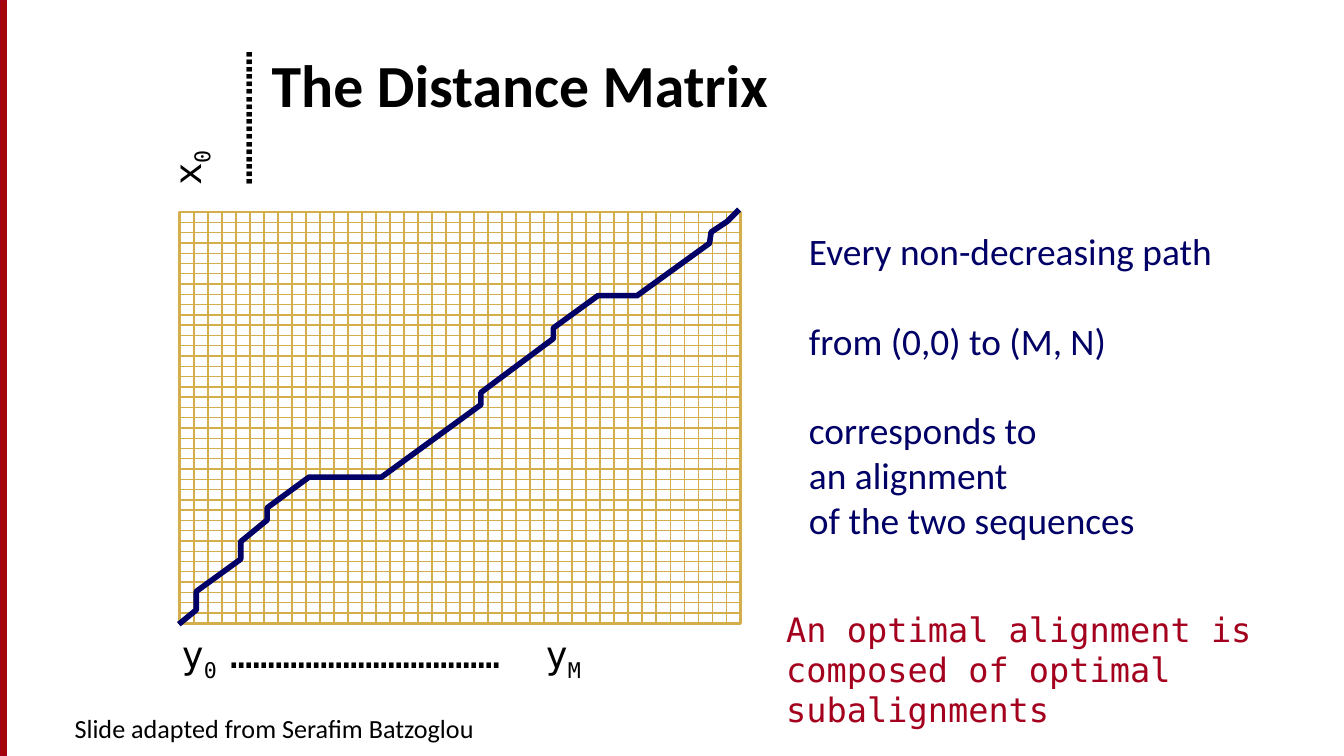
import dataclasses
import typing

import pptx
import pptx.dml.color
import pptx.enum.shapes
import pptx.enum.text
import pptx.oxml
import pptx.oxml.ns
import pptx.util

Cm = pptx.util.Cm
Pt = pptx.util.Pt
ALIGN = pptx.enum.text.PP_ALIGN
SHAPE = pptx.enum.shapes.MSO_SHAPE

HEX = {"ink": "000000", "navy": "000066", "red": "A4001D",
       "bar": "A40508", "gold": "D5AE4C"}
SANS, MONO = "Calibri", "DejaVu Sans Mono"


@dataclasses.dataclass
class Run:
    text: str
    sub: bool = False


@dataclasses.dataclass
class Line:
    runs: list[Run]
    after: float = 0


@dataclasses.dataclass
class Note:
    """A text box, placed in centimetres."""
    left: float
    top: float
    width: float
    height: float
    lines: list[Line]
    size: float
    font: str = SANS
    color: str = "ink"
    align: typing.Any = ALIGN.LEFT
    turn: float = 0
    wrap: bool = True


@dataclasses.dataclass
class Grid:
    left: float
    top: float
    width: float
    height: float
    rows: int
    cols: int


GRID = Grid(3.4, 4.01, 10.59, 7.77, 40, 40)
PATH = [(3.38, 11.8), (3.71, 11.53), (3.71, 11.18), (4.55, 10.57),
        (4.55, 10.24), (5.05, 9.83), (5.05, 9.6), (5.84, 9.02),
        (7.21, 9.02), (9.09, 7.65), (9.09, 7.42), (10.46, 6.4),
        (10.46, 6.2), (11.3, 5.59), (12.04, 5.59), (13.16, 4.78),
        (13.41, 4.6), (13.44, 4.39), (13.74, 4.19), (13.97, 3.96)]
NOTES = [
    Note(0.64, 13.34, 9.09, 0.95,
         [Line([Run("Slide adapted from Serafim Batzoglou")])],
         14, align=ALIGN.CENTER),
    Note(3.18, 11.81, 11.02, 1.12,
         [Line([Run("y"), Run("0 ", True), Run("…" * 12 + "  y"),
                Run("M", True)])],
         20, MONO, wrap=False),
    Note(1.65, 1.32, 3.76, 1.12,
         [Line([Run("x"), Run("0 ", True), Run("…" * 6)])],
         20, MONO, turn=270, wrap=False),
    Note(15.04, 4.19, 9.32, 7.26,
         [Line([Run("Every non-decreasing path")], 24),
          Line([Run("from (0,0) to (M, N)")], 24),
          Line([Run("corresponds to")]),
          Line([Run("an alignment")]),
          Line([Run("of the two sequences")])],
         20, color="navy"),
    Note(14.61, 11.38, 10.57, 1.8,
         [Line([Run("An optimal alignment is composed of optimal "
                    "subalignments")])],
         18, MONO, "red"),
]


def tint(name: str) -> pptx.dml.color.RGBColor:
    return pptx.dml.color.RGBColor.from_string(HEX[name])


def stroke(item: typing.Any, color: str, width: float) -> None:
    item.line.color.rgb = tint(color)
    item.line.width = Pt(width)


def write(para: typing.Any, run: Run, size: float, font: str,
          color: str, bold: bool = False) -> None:
    part = para.add_run()
    part.text = run.text
    part.font.size = Pt(size)
    part.font.name = font
    part.font.bold = bold
    part.font.color.rgb = tint(color)
    if run.sub:
        part.font._element.set("baseline", "-25000")


def add_note(slide: typing.Any, note: Note) -> None:
    box = slide.shapes.add_textbox(Cm(note.left), Cm(note.top),
                                   Cm(note.width), Cm(note.height))
    box.rotation = note.turn
    frame = box.text_frame
    frame.word_wrap = note.wrap
    for i, line in enumerate(note.lines):
        para = frame.add_paragraph() if i else frame.paragraphs[0]
        para.alignment = note.align
        para.space_after = Pt(line.after)
        for run in line.runs:
            write(para, run, note.size, note.font, note.color)


def add_box(slide: typing.Any, left: float, top: float,
            width: float, height: float) -> typing.Any:
    box = slide.shapes.add_shape(SHAPE.RECTANGLE, Cm(left), Cm(top),
                                 Cm(width), Cm(height))
    box.shadow.inherit = False
    return box


def add_rule(slide: typing.Any, x1: float, y1: float,
             x2: float, y2: float) -> None:
    rule = slide.shapes.add_connector(
        pptx.enum.shapes.MSO_CONNECTOR.STRAIGHT,
        Cm(x1), Cm(y1), Cm(x2), Cm(y2))
    stroke(rule, "gold", 0.75)
    rule._element.spPr.append(
        pptx.oxml.parse_xml("<a:effectLst %s/>" % pptx.oxml.ns.nsdecls("a")))


def add_grid(slide: typing.Any, grid: Grid) -> None:
    frame = add_box(slide, grid.left, grid.top, grid.width, grid.height)
    frame.fill.background()
    stroke(frame, "gold", 1.5)
    right, base = grid.left + grid.width, grid.top + grid.height
    for i in range(1, grid.rows):
        y = grid.top + i * grid.height / grid.rows
        add_rule(slide, grid.left, y, right, y)
    for i in range(1, grid.cols):
        x = grid.left + i * grid.width / grid.cols
        add_rule(slide, x, base, x, grid.top)


def add_path(slide: typing.Any, spots: list[tuple[float, float]]) -> None:
    first, *rest = [(Cm(x), Cm(y)) for x, y in spots]
    pen = slide.shapes.build_freeform(*first)
    pen.add_line_segments(rest, close=False)
    path = pen.convert_to_shape()
    path.shadow.inherit = False
    path.fill.background()
    stroke(path, "navy", 3)


def set_title(slide: typing.Any, text: str) -> None:
    title = slide.shapes.title
    title.left, title.top = Cm(4.88), Cm(0)
    title.width, title.height = Cm(20.4), Cm(2.39)
    frame = title.text_frame
    frame.auto_size = pptx.enum.text.MSO_AUTO_SIZE.NONE
    frame.vertical_anchor = pptx.enum.text.MSO_ANCHOR.BOTTOM
    para = frame.paragraphs[0]
    para.alignment = ALIGN.LEFT
    write(para, Run(text), 32, SANS, "ink", True)


def main() -> None:
    deck = pptx.Presentation()
    deck.slide_width, deck.slide_height = Cm(25.4), Cm(14.29)
    slide = deck.slides.add_slide(deck.slide_layouts[5])
    bar = add_box(slide, 0, 0, 0.13, 14.29)
    bar.fill.solid()
    bar.fill.fore_color.rgb = tint("bar")
    stroke(bar, "red", 0.75)
    set_title(slide, "The Distance Matrix")
    add_grid(slide, GRID)
    add_path(slide, PATH)
    for note in NOTES:
        add_note(slide, note)
    deck.save("out.pptx")


if __name__ == "__main__":
    main()
